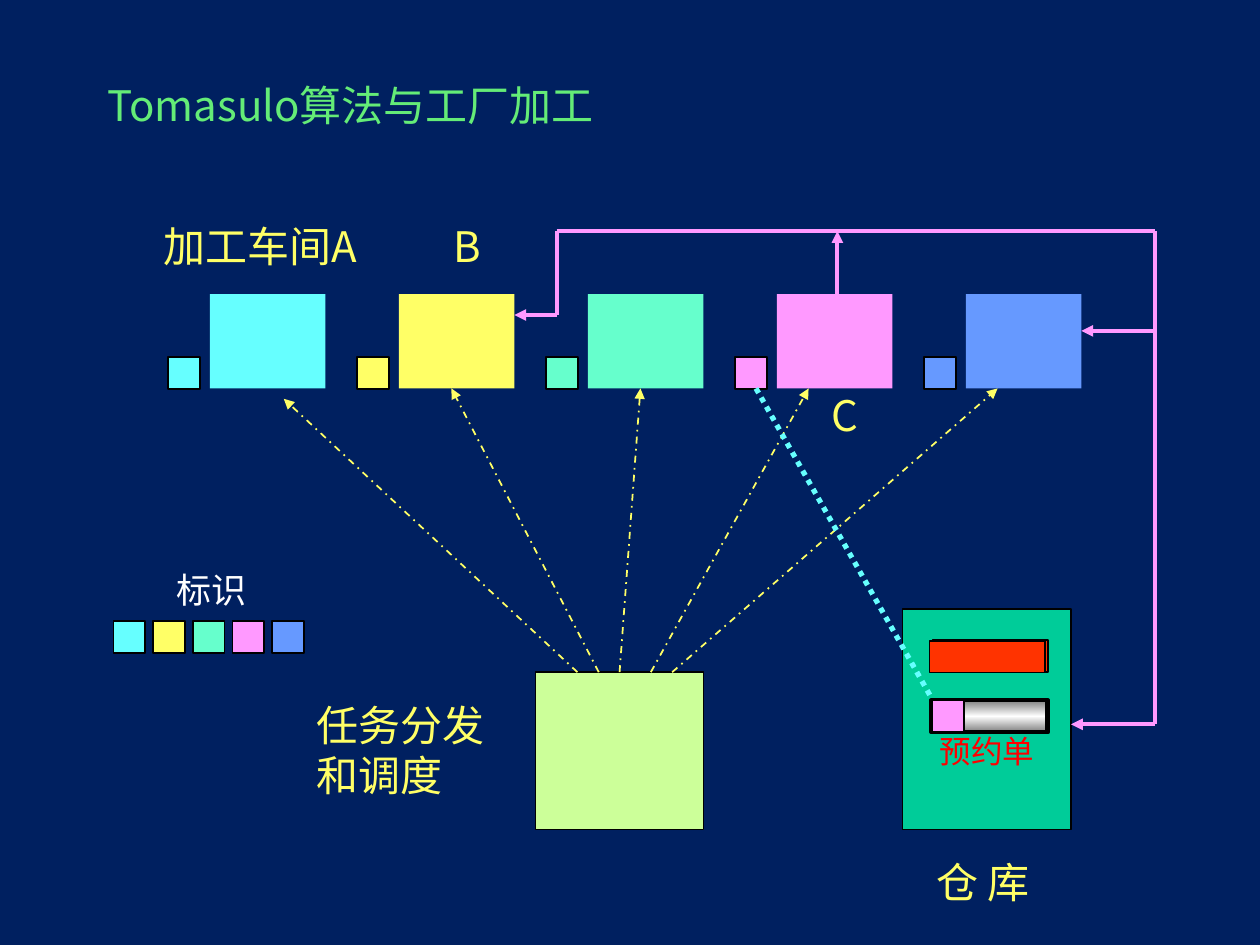
from copy import deepcopy
from dataclasses import dataclass
from typing import Optional

from lxml.etree import SubElement
from pptx import Presentation
from pptx.dml.color import RGBColor
from pptx.enum.dml import MSO_LINE
from pptx.enum.shapes import MSO_CONNECTOR, MSO_SHAPE
from pptx.enum.text import MSO_ANCHOR, MSO_AUTO_SIZE, PP_ALIGN
from pptx.oxml.ns import qn
from pptx.util import Cm, Pt

FONT = "Noto Sans CJK SC"
YELLOW, PINK, CYAN, BLACK = "FFFF66", "FF99FF", "66FFFF", "000000"
WORKSHOP_COLORS = [CYAN, YELLOW, "66FFCC", PINK, "6699FF"]
TAG = 0.64  # side of an identification tag, also the height of a slip
SLIP_WIDTH = 2.33


@dataclass
class Box:
    left: float
    top: float
    width: float
    height: float

    def lengths(self) -> list:
        return [Cm(v) for v in (self.left, self.top, self.width, self.height)]


@dataclass
class Label:
    text: str
    box: Box
    size: int = 24
    color: str = YELLOW


@dataclass
class Stroke:
    color: str
    width: float
    dash: Optional[MSO_LINE] = None


@dataclass
class Route:
    start: tuple
    end: tuple
    arrow: bool = True


def rgb(color: str) -> RGBColor:
    return RGBColor.from_string(color)


def add_box(box: Box, color: Optional[str], border: float = 0):
    """Draw a rectangle; the caller fills it when no colour is given."""
    shape = slide.shapes.add_shape(MSO_SHAPE.RECTANGLE, *box.lengths())
    shape.shadow.inherit = False
    if color:
        shape.fill.solid()
        shape.fill.fore_color.rgb = rgb(color)
    if border:
        shape.line.color.rgb = rgb(BLACK)
        shape.line.width = Pt(border)
    else:
        shape.line.fill.background()
    return shape


def add_tag(left: float, top: float, color: str) -> None:
    add_box(Box(left, top, TAG, TAG), color, 1)


def add_reservation(left: float) -> None:
    """Draw a metallic slip that carries the tag of workshop C."""
    top = 14.12
    slip = add_box(Box(left, top, SLIP_WIDTH, TAG), None, 2.25)
    slip.fill.gradient()
    slip.fill.gradient_angle = 90
    stop_list = slip._element.spPr.find(".//" + qn("a:gsLst"))
    stop_list.append(deepcopy(stop_list[0]))
    metal = [(0, "808080"), (0.5, "FFFFFF"), (1, "808080")]
    for stop, (position, color) in zip(slip.fill.gradient_stops, metal):
        stop.position = position
        stop.color.rgb = rgb(color)
    add_tag(left + 0.02, top, PINK)


def add_route(route: Route, stroke: Stroke) -> None:
    points = [Cm(v) for v in (*route.start, *route.end)]
    connector = slide.shapes.add_connector(MSO_CONNECTOR.STRAIGHT, *points)
    connector.line.color.rgb = rgb(stroke.color)
    connector.line.width = Pt(stroke.width)
    if stroke.dash:
        connector.line.dash_style = stroke.dash
    if route.arrow:
        SubElement(connector.line._get_or_add_ln(), qn("a:tailEnd"), type="triangle")
    SubElement(connector._element.spPr, qn("a:effectLst"))


def write_text(shape, label: Label, auto_size: MSO_AUTO_SIZE) -> None:
    frame = shape.text_frame
    frame_format = {"word_wrap": True, "auto_size": auto_size,
                    "vertical_anchor": MSO_ANCHOR.TOP}
    for name, value in frame_format.items():
        setattr(frame, name, value)
    paragraph = frame.paragraphs[0]
    paragraph.alignment = PP_ALIGN.LEFT
    run = paragraph.add_run()
    run.text = label.text
    for name, value in {"name": FONT, "size": Pt(label.size)}.items():
        setattr(run.font, name, value)
    run.font.color.rgb = rgb(label.color)
    SubElement(run._r.get_or_add_rPr(), qn("a:ea"), typeface=FONT)


def add_label(label: Label) -> None:
    write_text(slide.shapes.add_textbox(*label.box.lengths()), label,
               MSO_AUTO_SIZE.SHAPE_TO_FIT_TEXT)


presentation = Presentation()
presentation.slide_width, presentation.slide_height = Cm(25.4), Cm(19.05)
slide = presentation.slides.add_slide(presentation.slide_layouts[5])
slide.background.fill.solid()
slide.background.fill.fore_color.rgb = rgb("002060")

# Title
heading = Label("Tomasulo算法与工厂加工", Box(1.91, 1.48, 11.64, 1.28), color="64EC77")
title = slide.shapes.title
title.left, title.top, title.width, title.height = heading.box.lengths()
write_text(title, heading, MSO_AUTO_SIZE.NONE)

# Warehouse and dispatcher
add_box(Box(18.2, 12.28, 3.39, 4.45), "00CC99", 0.75)
add_box(Box(10.8, 13.55, 3.39, 3.18), "CCFF99", 0.75)

# Workshops with their tags, and the legend of tags
for i, workshop_color in enumerate(WORKSHOP_COLORS):
    add_box(Box(4.23 + 3.81 * i, 5.93, 2.33, 1.9), workshop_color)
    add_tag(3.39 + 3.81 * i, 7.2, workshop_color)
    add_tag(2.29 + 0.8 * i, 12.52, workshop_color)

# Dispatch arrows from the dispatcher to each workshop
dispatch = Stroke(YELLOW, 1, MSO_LINE.DASH_DOT)
for start_x, end in [(11.64, (5.72, 8.04)), (12.07, (9.1, 7.83)), (12.49, (12.91, 7.83)),
                     (13.12, (16.3, 7.83)), (13.55, (20.11, 7.83))]:
    add_route(Route((start_x, 13.55), end), dispatch)

# Rear goods and reservation slip in the warehouse
add_box(Box(18.8, 12.91, SLIP_WIDTH, TAG), "FF3300", 1)
add_reservation(18.8)

# Result bus from workshop C to its consumers
bus_left, bus_right, bus_top, store_y = 11.22, 23.28, 4.66, 14.6
result_bus = Stroke(PINK, 2.25)
for route in [
    Route((bus_left, bus_top), (bus_right, bus_top), arrow=False),
    Route((bus_right, bus_top), (bus_right, store_y), arrow=False),
    Route((bus_right, store_y), (21.59, store_y)),
    Route((bus_left, 6.35), (10.37, 6.35)),
    Route((bus_left, bus_top), (bus_left, 6.35), arrow=False),
    Route((bus_right, 6.67), (21.8, 6.67)),
    Route((16.88, 5.93), (16.88, bus_top)),
]:
    add_route(route, result_bus)

# Link between the tag of workshop C and the reservation
add_route(Route((15.24, 7.83), (18.84, 14.18), arrow=False),
          Stroke(CYAN, 3, MSO_LINE.ROUND_DOT))

# Front goods and reservation slip
add_box(Box(18.74, 12.92, SLIP_WIDTH, TAG), "FF3300", 1)
add_reservation(18.77)

# Labels
for label in [
    Label("任务分发和调度", Box(6.14, 13.97, 4.02, 2.29)),
    Label("仓 库", Box(18.63, 17.15, 2.75, 1.28)),
    Label("加工车间A", Box(3.05, 4.32, 5.23, 1.28)),
    Label("B", Box(8.89, 4.32, 1.8, 1.28)),
    Label("C", Box(16.51, 7.73, 1.8, 1.28)),
    Label("标识", Box(3.3, 11.33, 2.54, 1.1), 20, "FFFFFF"),
    Label("预约单", Box(18.7, 14.63, 2.6, 1.02), 18, "FF0000"),
]:
    add_label(label)

presentation.save("out.pptx")
